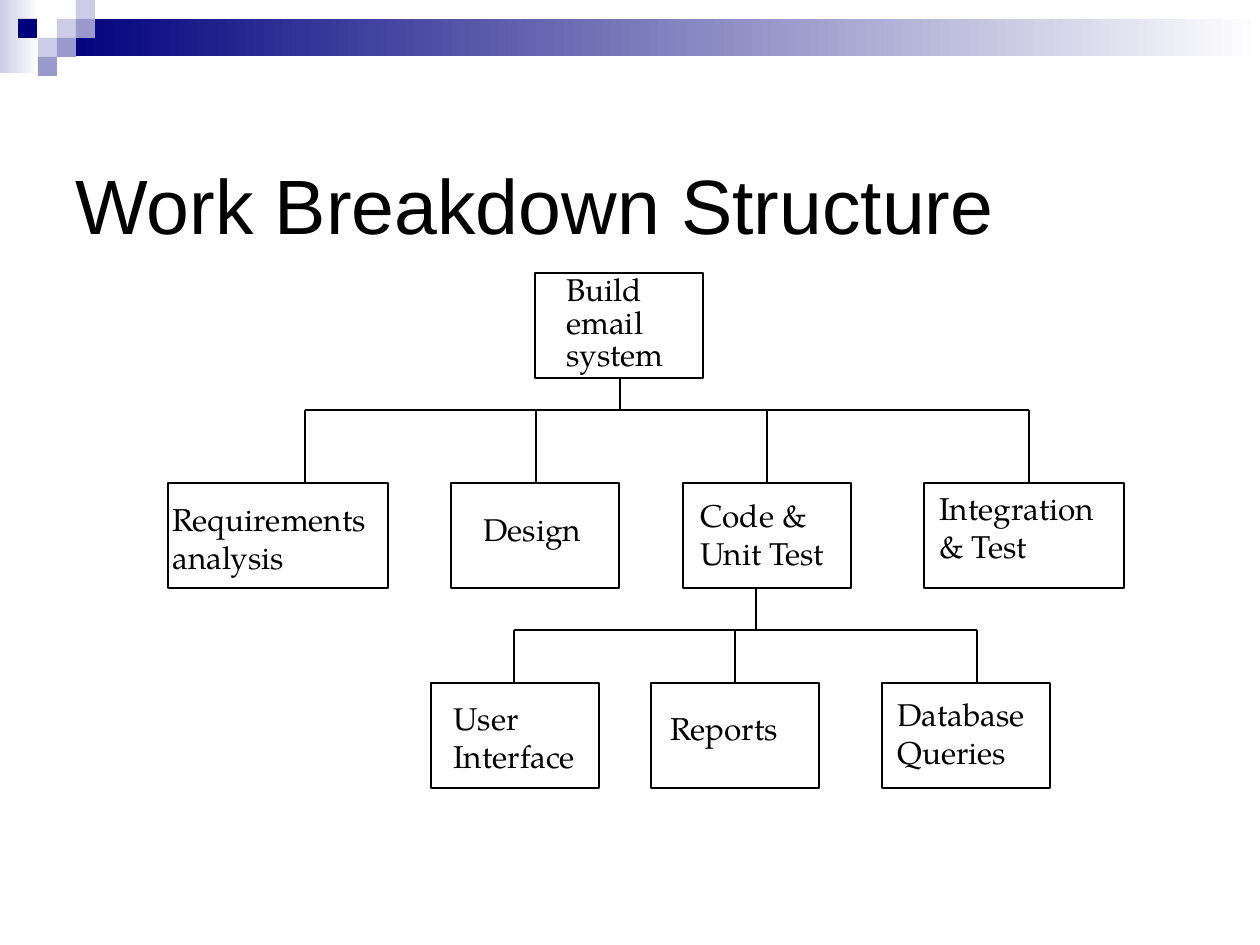
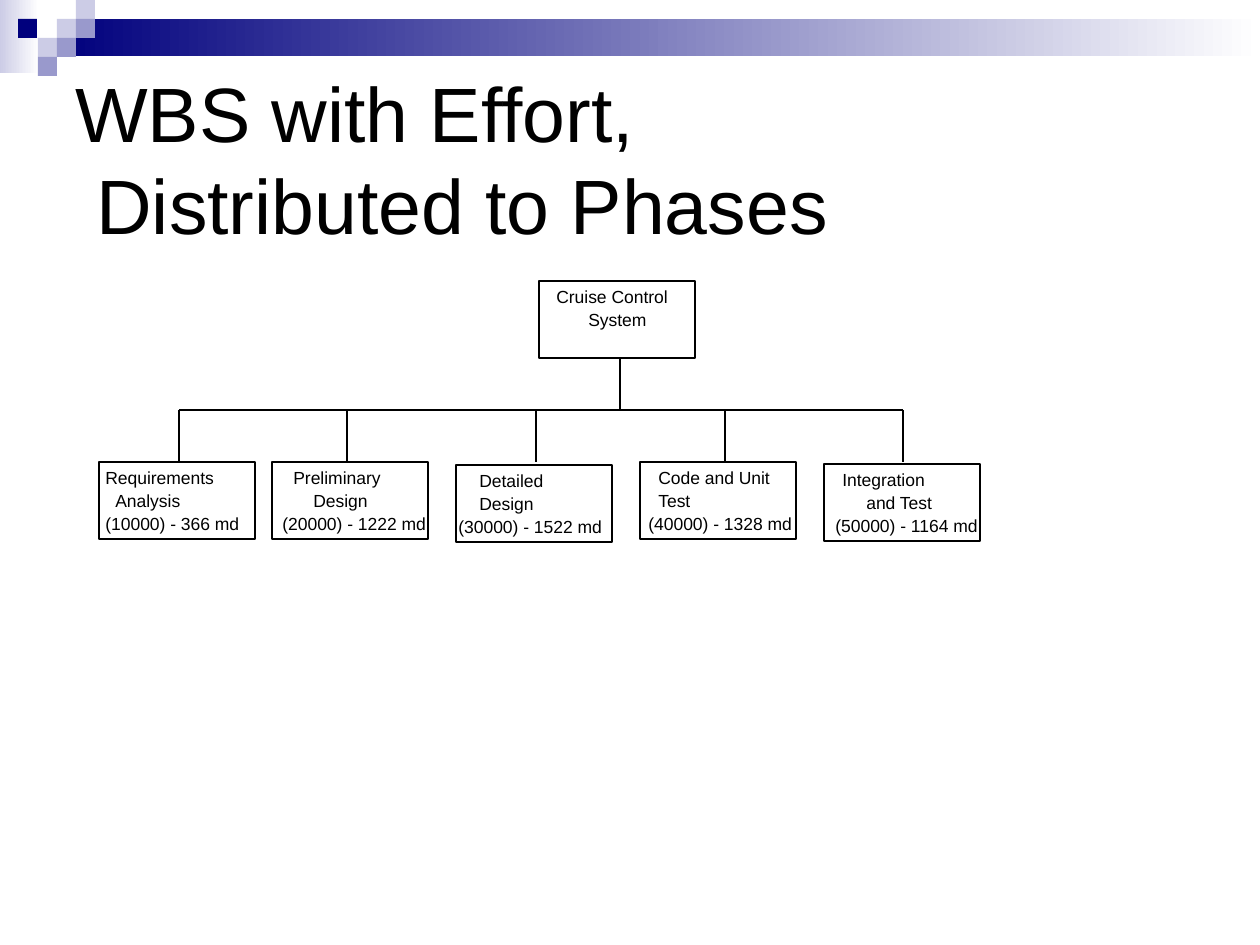
"""Builds two work breakdown structure slides."""
from dataclasses import dataclass
from typing import Optional

from lxml.etree import SubElement
from pptx import Presentation
from pptx.dml.color import RGBColor
from pptx.enum.shapes import MSO_CONNECTOR as Connector, MSO_SHAPE as Preset
from pptx.enum.text import MSO_ANCHOR as Anchor, MSO_AUTO_SIZE as AutoSize
from pptx.oxml.ns import qn
from pptx.util import Emu, Pt

EMU_PER_PX = 914400 / 126


@dataclass(frozen=True)
class Theme:
    """Colours, fonts and type sizes."""
    ink: str = "000000"
    paper: str = "FFFFFF"
    navy: str = "00007D"
    lilac: str = "CCCCE6"
    violet: str = "9999CC"
    sans: str = "Arial"
    serif: str = "TeX Gyre Pagella"
    title_size: int = 44
    tree_size: int = 18
    effort_size: int = 10
    line_width: int = 1


@dataclass(frozen=True)
class Box:
    """A place on the slide in pixels."""
    left: int
    top: int
    width: int
    height: int


@dataclass(frozen=True)
class Label:
    """Words laid over a tree node."""
    lines: tuple[str, ...]
    box: Box
    wrap: bool = False
    spacing: Optional[float] = None


@dataclass(frozen=True)
class Branch:
    """Lines from a parent down to its children."""
    trunk: int
    parent_bottom: int
    bus: int
    child_top: int
    drops: tuple[int, ...]


@dataclass(frozen=True)
class Phase:
    """A node whose lines each have their own offset from its left."""
    left: int
    top: int
    drop: int
    lines: tuple[tuple[str, int], ...]


THEME = Theme()
TITLE = Box(63, 67, 1134, 189)
SECOND_TITLE_LINE_INDENT = 21
TILE = 19
TILES = (
    (57, 19, THEME.lilac), (76, 0, THEME.lilac), (76, 19, THEME.violet),
    (38, 38, THEME.lilac), (18, 19, THEME.navy), (57, 38, THEME.violet),
    (38, 57, THEME.violet),
)

NODE_HEIGHT, NODE_WIDTH = 105, 168
TASK_TOP, UNIT_TOP = 483, 683
EMAIL_NODES = (
    Box(535, 273, NODE_WIDTH, NODE_HEIGHT),
    *(Box(left, TASK_TOP, width, NODE_HEIGHT) for left, width in
      ((168, 220), (451, NODE_WIDTH), (683, NODE_WIDTH), (924, 200))),
    *(Box(left, UNIT_TOP, NODE_WIDTH, NODE_HEIGHT) for left in (431, 651, 882)),
)
EMAIL_BRANCHES = (
    Branch(620, 378, 410, TASK_TOP, (305, 536, 767, 1029)),
    Branch(756, 588, 630, UNIT_TOP, (514, 735, 977)),
)
EMAIL_LABELS = (
    Label(("Build email system",), Box(554, 270, 139, 110), True, 0.85),
    Label(("Requirements", "analysis"), Box(160, 494, 236, 88)),
    Label(("Design",), Box(471, 504, 126, 50)),
    Label(("Code &", "Unit Test"), Box(688, 490, 159, 88)),
    Label(("Integration", "& Test"), Box(927, 483, 194, 88)),
    Label(("User", "Interface"), Box(441, 693, 158, 88), True),
    Label(("Reports",), Box(658, 703, 140, 50)),
    Label(("Database", "Queries"), Box(885, 689, 163, 88)),
)

PHASE_WIDTH, PHASE_HEIGHT = 156, 77
LINE_PITCH, LINE_WIDTH, LINE_HEIGHT = 23, 190, 33
CRUISE_ROOT = Phase(539, 281, 620, (("Cruise Control", 5), ("System", 37)))
CRUISE_PHASES = (
    Phase(99, 462, 179, (("Requirements", -6), ("Analysis", 4),
                         ("(10000) - 366 md", -6))),
    Phase(272, 462, 347, (("Preliminary", 9), ("Design", 29),
                          ("(20000) - 1222 md", -2))),
    Phase(456, 465, 536, (("Detailed", 11), ("Design", 11),
                          ("(30000) - 1522 md", -10))),
    Phase(640, 462, 725, (("Code and Unit", 6), ("Test", 6),
                          ("(40000) - 1328 md", -4))),
    Phase(824, 464, 903, (("Integration", 6), ("and Test", 30),
                          ("(50000) - 1164 md", -1))),
)


def px(length: int) -> Emu:
    """Turn pixels into EMU."""
    return Emu(round(length * EMU_PER_PX))


def place(box: Box) -> tuple[Emu, ...]:
    """Give a box as EMU arguments."""
    return px(box.left), px(box.top), px(box.width), px(box.height)


def color(value: str) -> RGBColor:
    """Read a hex colour."""
    return RGBColor.from_string(value)


def add_rect(slide, box: Box, fill: Optional[str] = None, fade: bool = False,
             outlined: bool = False) -> None:
    """Draw a rectangle, plain, fading to paper, or outlined."""
    rect = slide.shapes.add_shape(Preset.RECTANGLE, *place(box))
    rect.shadow.inherit = False
    if fade:
        rect.fill.gradient()
        rect.fill.gradient_angle = 0
        for stop, shade in zip(rect.fill.gradient_stops, (fill, THEME.paper)):
            stop.color.rgb = color(shade)
    elif fill:
        rect.fill.solid()
        rect.fill.fore_color.rgb = color(fill)
    else:
        rect.fill.background()
    if outlined:
        rect.line.color.rgb = color(THEME.ink)
        rect.line.width = Pt(THEME.line_width)
    else:
        rect.line.fill.background()


def add_line(slide, x1: int, y1: int, x2: int, y2: int) -> None:
    """Draw a straight tree line."""
    line = slide.shapes.add_connector(
        Connector.STRAIGHT, px(x1), px(y1), px(x2), px(y2))
    line.line.color.rgb = color(THEME.ink)
    line.line.width = Pt(THEME.line_width)
    SubElement(line._element.spPr, qn("a:effectLst"))


def add_text(slide, lines: tuple[str, ...], box: Box, *, size: int, font: str,
             wrap: bool = False, grow: bool = True, anchor: Anchor = Anchor.TOP,
             spacing: Optional[float] = None, later_indent: int = 0) -> None:
    """Write one paragraph for each line."""
    frame = slide.shapes.add_textbox(*place(box)).text_frame
    frame.word_wrap = wrap
    frame.auto_size = AutoSize.SHAPE_TO_FIT_TEXT if grow else AutoSize.NONE
    frame.vertical_anchor = anchor
    for index, words in enumerate(lines):
        paragraph = frame.add_paragraph() if index else frame.paragraphs[0]
        if index and later_indent:
            paragraph._p.get_or_add_pPr().set("marL", str(px(later_indent)))
        if spacing:
            paragraph.line_spacing = spacing
        run = paragraph.add_run()
        run.text = words
        run.font.size = Pt(size)
        run.font.name = font
        run.font.color.rgb = color(THEME.ink)


def add_branch(slide, branch: Branch) -> None:
    """Join a parent to its children by a trunk, a bus and drops."""
    add_line(slide, branch.trunk, branch.parent_bottom, branch.trunk, branch.bus)
    add_line(slide, branch.drops[0], branch.bus, branch.drops[-1], branch.bus)
    for drop in branch.drops:
        add_line(slide, drop, branch.bus, drop, branch.child_top)


def start_slide(deck, *title: str):
    """Add a slide with the header band and a title."""
    slide = deck.slides.add_slide(deck.slide_layouts[6])
    add_rect(slide, Box(0, 0, 39, 73), THEME.lilac, fade=True)
    add_rect(slide, Box(57, 19, 1203, 37), THEME.navy, fade=True)
    for left, top, shade in TILES:
        add_rect(slide, Box(left, top, TILE, TILE), shade)
    add_text(slide, title, TITLE, size=THEME.title_size, font=THEME.sans,
             wrap=True, grow=False, anchor=Anchor.BOTTOM,
             later_indent=SECOND_TITLE_LINE_INDENT)
    return slide


def build_email_slide(deck) -> None:
    """Draw the email system breakdown."""
    slide = start_slide(deck, "Work Breakdown Structure")
    for node in EMAIL_NODES:
        add_rect(slide, node, outlined=True)
    for branch in EMAIL_BRANCHES:
        add_branch(slide, branch)
    for label in EMAIL_LABELS:
        add_text(slide, label.lines, label.box, size=THEME.tree_size,
                 font=THEME.serif, wrap=label.wrap, spacing=label.spacing)


def build_effort_slide(deck) -> None:
    """Draw the cruise control breakdown with effort by phase."""
    slide = start_slide(deck, "WBS with Effort,", "Distributed to Phases")
    phases = (CRUISE_ROOT, *CRUISE_PHASES)
    for phase in phases:
        add_rect(slide, Box(phase.left, phase.top, PHASE_WIDTH, PHASE_HEIGHT),
                 THEME.paper, outlined=True)
    add_branch(slide, Branch(CRUISE_ROOT.drop, CRUISE_ROOT.top + PHASE_HEIGHT, 410,
                             462, tuple(phase.drop for phase in CRUISE_PHASES)))
    for phase in phases:
        for row, (words, offset) in enumerate(phase.lines):
            spot = Box(phase.left + offset, phase.top - 1 + row * LINE_PITCH,
                       LINE_WIDTH, LINE_HEIGHT)
            add_text(slide, (words,), spot, size=THEME.effort_size, font=THEME.sans)


def main() -> None:
    """Build and save the deck."""
    deck = Presentation()
    deck.slide_width, deck.slide_height = px(1260), px(945)
    build_email_slide(deck)
    build_effort_slide(deck)
    deck.save("out.pptx")


if __name__ == "__main__":
    main()
